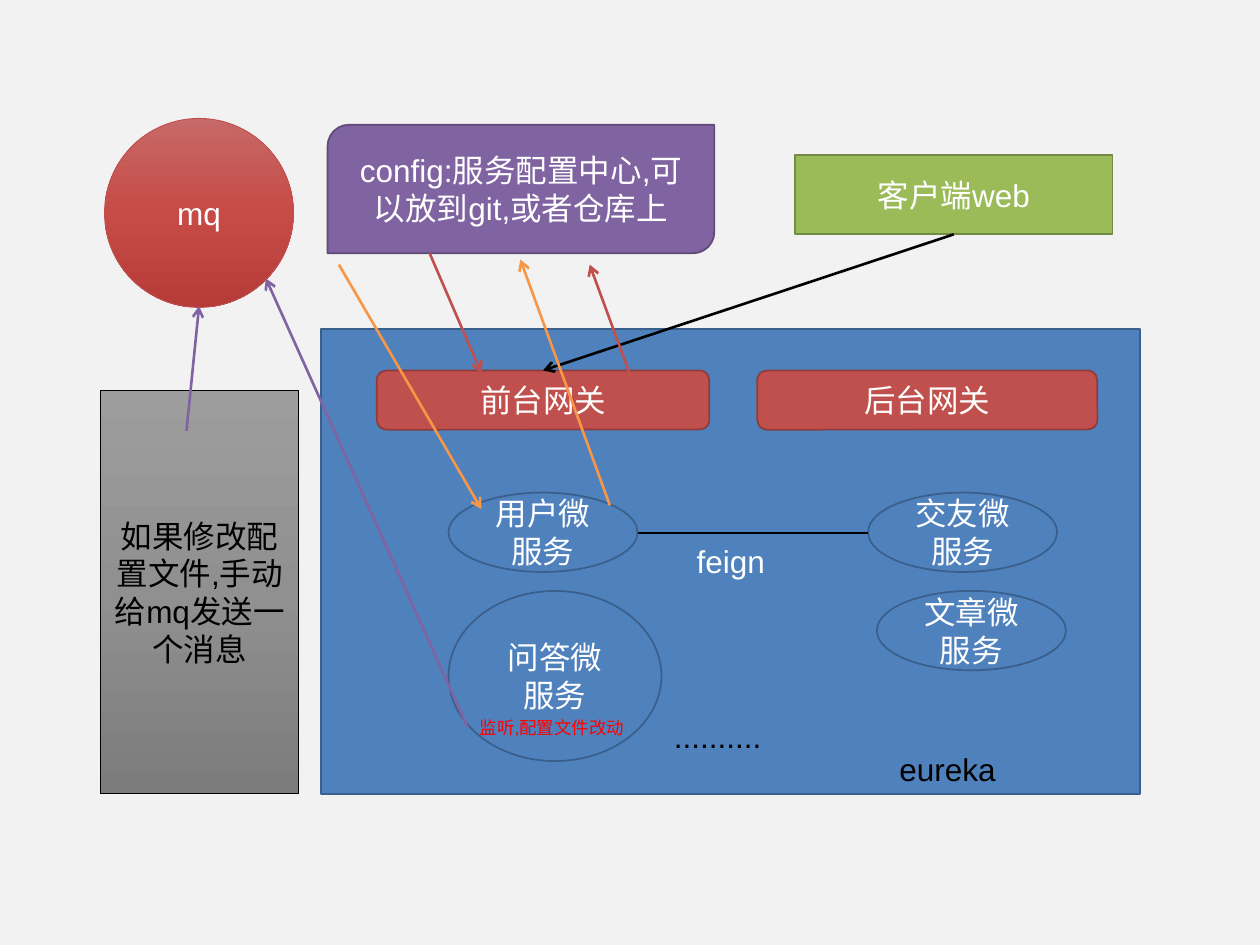
from copy import deepcopy
from dataclasses import dataclass

from lxml import etree
from pptx import Presentation
from pptx.dml.color import RGBColor
from pptx.enum.shapes import MSO_CONNECTOR, MSO_SHAPE
from pptx.enum.text import MSO_ANCHOR, PP_ALIGN
from pptx.oxml.ns import qn
from pptx.util import Inches, Pt

RECT = MSO_SHAPE.RECTANGLE
ROUNDED = MSO_SHAPE.ROUNDED_RECTANGLE
DIAGONAL = MSO_SHAPE.ROUND_2_DIAG_RECTANGLE
ELLIPSE = MSO_SHAPE.OVAL
STRAIGHT = MSO_CONNECTOR.STRAIGHT
CENTER, LEFT = PP_ALIGN.CENTER, PP_ALIGN.LEFT
MIDDLE, TOP = MSO_ANCHOR.MIDDLE, MSO_ANCHOR.TOP


@dataclass(frozen=True)
class Theme:
    font: str = "Arial"
    body: float = 18
    small: float = 10
    thin: float = 0.5
    outline: float = 1
    link: float = 1.5
    page: str = "F2F2F2"
    black: str = "000000"
    white: str = "FFFFFF"
    alert: str = "FF0000"
    blue: str = "4F81BD"
    blue_edge: str = "3A5F8C"
    red: str = "C0504D"
    red_edge: str = "8E3B39"
    green: str = "9BBB59"
    green_edge: str = "738A42"
    purple: str = "8064A2"
    purple_edge: str = "5F4A78"
    orange: str = "F79646"
    red_fade: tuple = ("C76967", "C64B47", "B63C39")
    grey_fade: tuple = ("9D9D9D", "909090", "7C7C7C")


THEME = Theme()


def rgb(color):
    return RGBColor.from_string(color)


def write(shape, text, color, size=THEME.body, align=CENTER, anchor=MIDDLE):
    frame = shape.text_frame
    frame.word_wrap = True
    frame.vertical_anchor = anchor
    para = frame.paragraphs[0]
    para.text = text
    para.alignment = align
    para.font.name = THEME.font
    para.font.size = Pt(size)
    para.font.color.rgb = rgb(color)


def fade_down(shape, colors):
    """Fill with evenly spaced colours, from top to bottom."""
    fill = shape.fill
    fill.gradient()
    fill.gradient_angle = 270
    stop_list = shape._element.spPr.find(".//" + qn("a:gsLst"))
    while len(stop_list) < len(colors):
        stop_list.append(deepcopy(stop_list[0]))
    for index, (stop, color) in enumerate(zip(fill.gradient_stops, colors)):
        stop.color.rgb = rgb(color)
        stop.position = index / (len(colors) - 1)


def add_node(page, kind, box, text, fill, edge, color=THEME.white, width=THEME.outline):
    """Add a captioned shape; a tuple of fill colours makes a gradient."""
    node = page.shapes.add_shape(kind, *map(Inches, box))
    node.shadow.inherit = False
    if isinstance(fill, tuple):
        fade_down(node, fill)
    else:
        node.fill.solid()
        node.fill.fore_color.rgb = rgb(fill)
    node.line.color.rgb = rgb(edge)
    node.line.width = Pt(width)
    write(node, text, color)


def add_label(page, box, text, color, size=THEME.body):
    label = page.shapes.add_textbox(*map(Inches, box))
    write(label, text, color, size, LEFT, TOP)


def add_link(page, start, end, color, arrow=True):
    link = page.shapes.add_connector(STRAIGHT, *map(Inches, start + end))
    link.line.color.rgb = rgb(color)
    link.line.width = Pt(THEME.link)
    if arrow:
        etree.SubElement(link.line._get_or_add_ln(), qn("a:tailEnd"), type="arrow")
    etree.SubElement(link._element.spPr, qn("a:effectLst"))


def add_eureka(page, left, top, width, height):
    """Add the registry panel with its gateways and services."""
    blue = (THEME.blue, THEME.blue_edge)
    add_node(page, RECT, (left, top, width, height), "feign", *blue)

    gateways = [("前台网关", 0.44, 2.64), ("后台网关", 3.46, 2.7)]
    for name, x, gateway_width in gateways:
        box = (left + x, top + 0.33, gateway_width, 0.47)
        add_node(page, ROUNDED, box, name, THEME.red, THEME.red_edge)

    services = [
        ("用户微服务", 1.01, 1.3, 1.5, 0.63),
        ("交友微服务", 4.34, 1.3, 1.5, 0.63),
        ("问答微服务", 1.01, 2.08, 1.69, 1.35),
        ("文章微服务", 4.41, 2.08, 1.5, 0.63),
    ]
    for name, x, y, service_width, service_height in services:
        box = (left + x, top + y, service_width, service_height)
        add_node(page, ELLIPSE, box, name, *blue)

    labels = [
        ("eureka", 4.49, 3.29, 1.35, 0.4, THEME.black, THEME.body),
        ("..........", 2.7, 3.03, 2.82, 0.4, THEME.black, THEME.body),
        ("监听,配置文件改动", 1.16, 3.03, 1.54, 0.27, THEME.alert, THEME.small),
    ]
    for text, x, y, label_width, label_height, color, size in labels:
        box = (left + x, top + y, label_width, label_height)
        add_label(page, box, text, color, size)


def add_config_and_client(page, left, top, width, height):
    """Add the config centre at the left of the box and the client at its right."""
    add_node(page, DIAGONAL, (left, top, 3.07, height),
             "config:服务配置中心,可以放到git,或者仓库上", THEME.purple, THEME.purple_edge)
    client_width = 2.52
    add_node(page, RECT, (left + width - client_width, top + 0.24, client_width, 0.63),
             "客户端web", THEME.green, THEME.green_edge)


def add_messaging(page, left, top, width, height):
    """Add the message queue above the manual notice."""
    add_node(page, ELLIPSE, (left + 0.03, top, 1.5, 1.5), "mq",
             THEME.red_fade, THEME.red, width=THEME.thin)
    notice_height = 3.2
    add_node(page, RECT, (left, top + height - notice_height, width, notice_height),
             "如果修改配置文件,手动给mq发送一个消息",
             THEME.grey_fade, THEME.black, THEME.black, THEME.thin)


def add_links(page):
    """Join the regions, in slide coordinates."""
    add_link(page, (5.06, 4.23), (6.89, 4.23), THEME.black, arrow=False)
    arrows = [
        ((7.57, 1.86), (4.31, 2.94), THEME.black),
        ((5.01, 3), (4.68, 2.1), THEME.red),
        ((3.41, 2.01), (3.82, 2.96), THEME.red),
        ((2.69, 2.1), (3.82, 4.04), THEME.orange),
        ((4.84, 4.01), (4.13, 2.06), THEME.orange),
        ((1.48, 3.42), (1.58, 2.43), THEME.purple),
        ((3.71, 5.77), (2.11, 2.21), THEME.purple),
    ]
    for start, end, color in arrows:
        add_link(page, start, end, color)


def main():
    deck = Presentation()
    deck.slide_width, deck.slide_height = Inches(10), Inches(7.5)
    page = deck.slides.add_slide(deck.slide_layouts.get_by_name("Blank"))
    page.background.fill.solid()
    page.background.fill.fore_color.rgb = rgb(THEME.page)
    add_eureka(page, 2.55, 2.61, 6.5, 3.69)
    add_config_and_client(page, 2.6, 0.99, 6.23, 1.02)
    add_messaging(page, 0.8, 0.94, 1.57, 5.36)
    add_links(page)
    deck.save("out.pptx")


if __name__ == "__main__":
    main()
